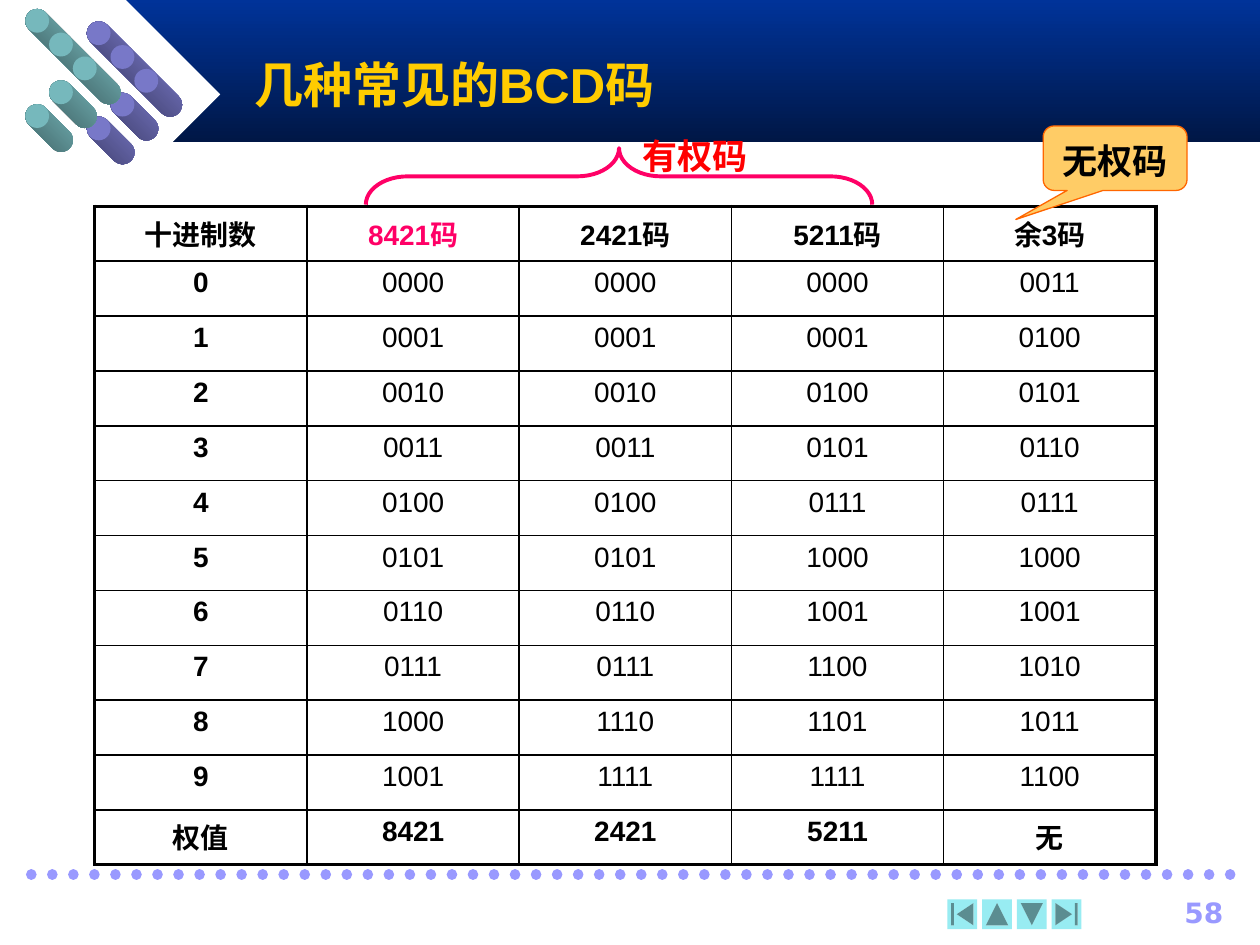
from itertools import product

from lxml.etree import SubElement
from pptx import Presentation
from pptx.dml.color import RGBColor
from pptx.enum.dml import MSO_LINE
from pptx.enum.shapes import MSO_CONNECTOR, MSO_SHAPE
from pptx.enum.text import MSO_ANCHOR, MSO_AUTO_SIZE, PP_ALIGN
from pptx.oxml.ns import qn
from pptx.util import Cm, Pt

TITLE = "几种常见的BCD码"
WEIGHTED = "有权码"
UNWEIGHTED = "无权码"
PAGE_NUMBER = "58"
HEADER = ["十进制数", "8421码", "2421码", "5211码", "余3码"]
CODES = [
    ["0", "0000", "0000", "0000", "0011"],
    ["1", "0001", "0001", "0001", "0100"],
    ["2", "0010", "0010", "0100", "0101"],
    ["3", "0011", "0011", "0101", "0110"],
    ["4", "0100", "0100", "0111", "0111"],
    ["5", "0101", "0101", "1000", "1000"],
    ["6", "0110", "0110", "1001", "1001"],
    ["7", "0111", "0111", "1100", "1010"],
    ["8", "1000", "1110", "1101", "1011"],
    ["9", "1001", "1111", "1111", "1100"],
]
WEIGHTS = ["权值", "8421", "2421", "5211", "无"]

THEME = {
    "band": ("003399", "001746"),
    "white": "FFFFFF",
    "violet": "9999FF",
    "aqua": "98ECF2",
    "violet_rods": ("7878C8", "3C3C66"),
    "aqua_rods": ("76B8BC", "3C5C5E"),
    "title": "FFCC00",
    "ink": "000000",
    "pink": "FF0066",
    "red": "FF0000",
    "callout": "FFCC66",
    "callout_line": "FF6600",
    "latin": "Arial",
    "serif": "Times New Roman",
    "cjk": "Noto Sans CJK SC",
    "number": "DejaVu Sans",
    "title_size": 28,
    "label_size": 20,
    "body_size": 16,
    "outer_border": 2.25,
    "inner_border": 1,
}

NAV_BUTTONS = [
    (MSO_SHAPE.ACTION_BUTTON_BEGINNING, 0),
    (MSO_SHAPE.ACTION_BUTTON_BACK_OR_PREVIOUS, 90),
    (MSO_SHAPE.ACTION_BUTTON_FORWARD_OR_NEXT, 90),
    (MSO_SHAPE.ACTION_BUTTON_END, 0),
]
ROD_STEPS = [0, 1, 2, 1, 0]
ROD_GROUPS = [("violet_rods", 1.75, 0.43), ("aqua_rods", 0.51, 0.18)]
ROD_SIZE = 0.48


def rgb(name):
    return RGBColor.from_string(THEME.get(name, name))


def write(frame, text, size, color, font="latin", bold=True, align=PP_ALIGN.LEFT):
    para = frame.paragraphs[0]
    para.alignment = align
    span = para.add_run()
    span.text = text
    style = {"size": Pt(THEME[size]), "name": THEME[font], "bold": bold}
    for key, value in style.items():
        setattr(span.font, key, value)
    span.font.color.rgb = rgb(color)
    SubElement(span.font._element, qn("a:ea"), typeface=THEME["cjk"])
    return para


def add_text(page, place, text, size, color, font="latin", align=PP_ALIGN.LEFT, **frame_format):
    box = page.shapes.add_textbox(*map(Cm, place))
    for key, value in {"word_wrap": True, **frame_format}.items():
        setattr(box.text_frame, key, value)
    return write(box.text_frame, text, size, color, font, align=align)


def add_shape(page, kind, place, fill=None, line=None, width=1, rotation=0):
    """Add a flat preset shape; a pair of colours as fill runs top to bottom."""
    shape = page.shapes.add_shape(kind, *map(Cm, place))
    shape.shadow.inherit = False
    shape.rotation = rotation
    if fill is None:
        shape.fill.background()
    elif isinstance(fill, tuple):
        shape.fill.gradient()
        shape.fill.gradient_angle = 270
        for stop, color in zip(shape.fill.gradient_stops, fill):
            stop.color.rgb = rgb(color)
    else:
        shape.fill.solid()
        shape.fill.fore_color.rgb = rgb(fill)
    if line:
        shape.line.color.rgb = rgb(line)
        shape.line.width = Pt(width)
    else:
        shape.line.fill.background()
    return shape


def add_rods(page):
    length = ROD_SIZE * (1 + 2 ** 0.5)
    for colors, left, top in ROD_GROUPS:
        for row, step in enumerate(ROD_STEPS):
            x, y = left + step * ROD_SIZE, top + row * ROD_SIZE
            body_left = x + ROD_SIZE - length / 2
            body = add_shape(page, MSO_SHAPE.ROUNDED_RECTANGLE,
                             (body_left, y + ROD_SIZE / 2, length, ROD_SIZE),
                             THEME[colors], rotation=45)
            body.adjustments[0] = 0.5
            add_shape(page, MSO_SHAPE.OVAL, (x, y, ROD_SIZE, ROD_SIZE), THEME[colors][0])


def add_dotted_rule(page):
    rule = page.shapes.add_connector(
        MSO_CONNECTOR.STRAIGHT, Cm(0.63), Cm(17.63), Cm(24.97), Cm(17.63))
    rule.line.color.rgb = rgb("violet")
    rule.line.width = Pt(6)
    rule.line.dash_style = MSO_LINE.ROUND_DOT
    rule.line._get_or_add_ln().set("cap", "rnd")
    SubElement(rule._element.spPr, qn("a:effectLst"))


def set_borders(cell, outer_sides):
    properties = cell._tc.get_or_add_tcPr()
    for side in "LRTB":
        width = THEME["outer_border" if side in outer_sides else "inner_border"]
        line = SubElement(properties, qn(f"a:ln{side}"), w=str(Pt(width)))
        solid = SubElement(line, qn("a:solidFill"))
        SubElement(solid, qn("a:srgbClr"), val=THEME["ink"])


def add_code_table(page):
    rows = [HEADER, *CODES, WEIGHTS]
    last_row, last_column = len(rows) - 1, len(HEADER) - 1
    table = page.shapes.add_table(
        len(rows), len(HEADER), Cm(1.91), Cm(4.16), Cm(21.39), Cm(13.28)).table
    table.first_row = table.horz_banding = False
    for r, c in product(range(len(rows)), range(len(HEADER))):
        cell = table.cell(r, c)
        edges = {"L": c == 0, "R": c == last_column, "T": r == 0, "B": r == last_row}
        set_borders(cell, [side for side, outer in edges.items() if outer])
        cell.fill.background()
        write(cell.text_frame, rows[r][c], "body_size",
              "pink" if (r, c) == (0, 1) else "ink",
              bold=r in (0, last_row) or c == 0, align=PP_ALIGN.CENTER)


def main():
    deck = Presentation()
    deck.slide_width, deck.slide_height = Cm(25.4), Cm(19.05)
    page = deck.slides.add_slide(deck.slide_layouts[6])

    add_shape(page, MSO_SHAPE.RECTANGLE, (2.54, 0, 22.86, 2.86), THEME["band"])
    add_shape(page, MSO_SHAPE.DIAMOND, (0.63, 0, 3.81, 3.81), "white")
    add_rods(page)
    add_dotted_rule(page)
    for index, (kind, turn) in enumerate(NAV_BUTTONS):
        add_shape(page, kind, (19.1 + 0.7 * index, 18.13, 0.6, 0.6), "aqua", rotation=turn)
    add_text(page, (22.5, 17.93, 2.41, 0.84), PAGE_NUMBER, "body_size", "violet",
             "number", PP_ALIGN.RIGHT)
    add_text(page, (4.88, 0.84, 19.05, 1.7), TITLE, "title_size", "title",
             vertical_anchor=MSO_ANCHOR.MIDDLE)
    add_code_table(page)

    brace = add_shape(page, MSO_SHAPE.RIGHT_BRACE, (11.91, -1.55, 1.14, 10.21),
                      line="pink", width=2.25, rotation=270)
    brace.adjustments[0] = 0.74
    label = add_text(page, (12.7, 2.69, 2.64, 1.02), WEIGHTED, "label_size", "red", "serif",
                     PP_ALIGN.JUSTIFY, word_wrap=False,
                     auto_size=MSO_AUTO_SIZE.SHAPE_TO_FIT_TEXT)
    label.line_spacing = 0.9

    callout = add_shape(page, MSO_SHAPE.ROUNDED_RECTANGULAR_CALLOUT,
                        (21.03, 2.54, 2.9, 1.3), "callout", "callout_line", 0.75)
    for index, value in enumerate((-0.69, 0.95, 0.17)):
        callout.adjustments[index] = value
    callout.text_frame.vertical_anchor = MSO_ANCHOR.BOTTOM
    write(callout.text_frame, UNWEIGHTED, "label_size", "ink", "cjk", align=PP_ALIGN.CENTER)

    deck.save("out.pptx")


if __name__ == "__main__":
    main()
